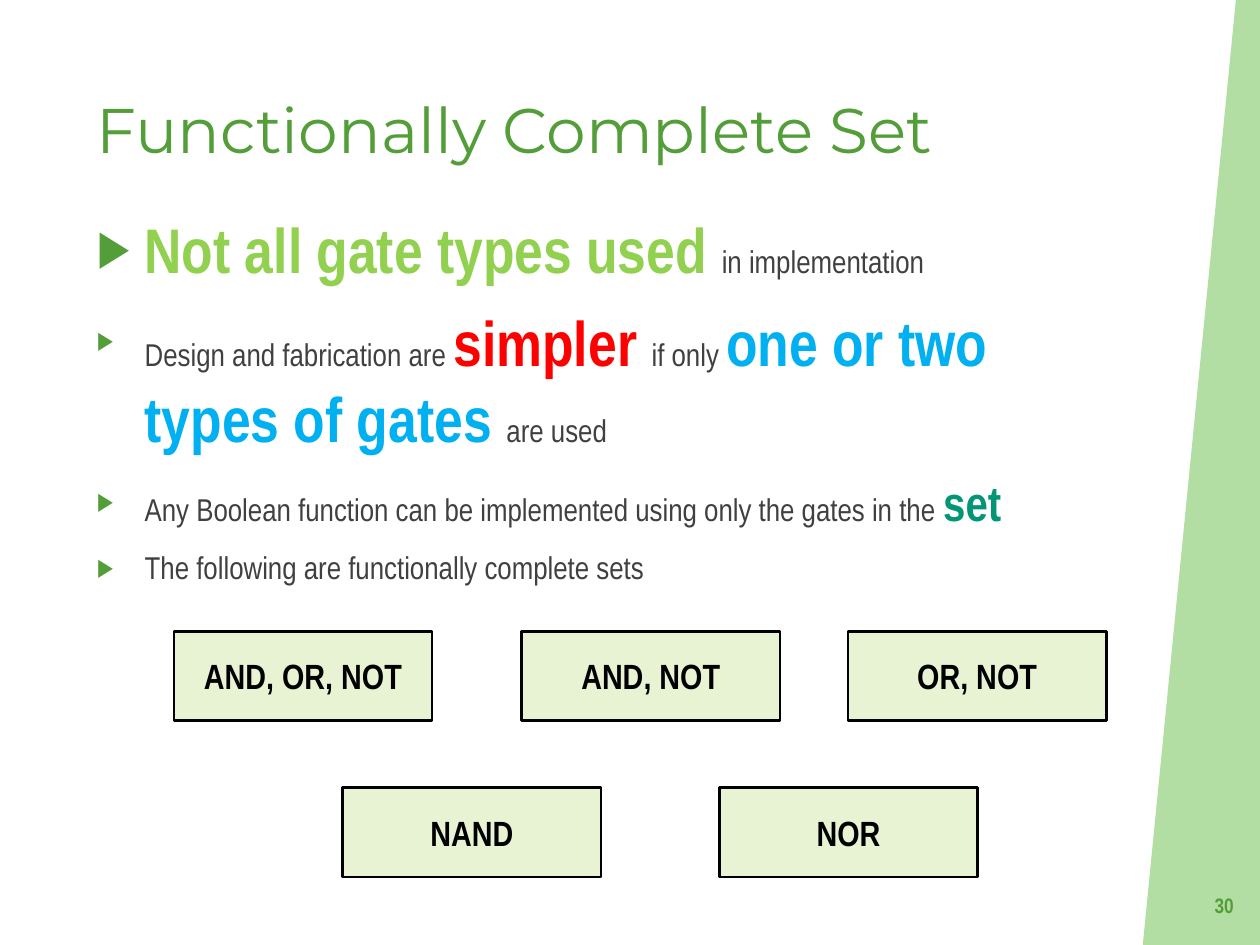
from lxml import etree
from pptx import Presentation
from pptx.dml.color import RGBColor
from pptx.enum.shapes import MSO_SHAPE
from pptx.enum.text import MSO_ANCHOR, PP_ALIGN
from pptx.oxml.ns import qn
from pptx.util import Inches, Pt

RECTANGLE = MSO_SHAPE.RECTANGLE
TOP, MIDDLE = MSO_ANCHOR.TOP, MSO_ANCHOR.MIDDLE
LEFT, CENTER, RIGHT = PP_ALIGN.LEFT, PP_ALIGN.CENTER, PP_ALIGN.RIGHT

GREEN = RGBColor(0x54, 0x9E, 0x39)
BAND_GREEN = RGBColor(0x93, 0xD0, 0x7D)
LIME = RGBColor(0x92, 0xD0, 0x50)
RED = RGBColor(0xFF, 0x00, 0x00)
BLUE = RGBColor(0x00, 0xB0, 0xF0)
TEAL = RGBColor(0x02, 0x96, 0x76)
GRAY = RGBColor(0x40, 0x40, 0x40)
BLACK = RGBColor(0x00, 0x00, 0x00)
PALE_GREEN = RGBColor(0xE8, 0xF3, 0xD4)

TITLE_FONT = "Montserrat"
BODY_FONT = "Arial Narrow"

PLAIN = (18, GRAY, False)
BULLETS = [
    [("Not all gate types used ", (36, LIME, True)), ("in implementation", PLAIN)],
    [
        ("Design and fabrication are ", PLAIN),
        ("simpler ", (36, RED, True)),
        ("if only ", PLAIN),
        ("one or two types of gates ", (36, BLUE, True)),
        ("are used", PLAIN),
    ],
    [
        ("Any Boolean function can be implemented using only the gates in the ", PLAIN),
        ("set", (28, TEAL, True)),
    ],
    [("The following are functionally complete sets", PLAIN)],
]
GATE_ROWS = [
    (5.01, [(1.38, "AND, OR, NOT"), (4.14, "AND, NOT"), (6.73, "OR, NOT")]),
    (6.25, [(2.72, "NAND"), (5.71, "NOR")]),
]


def add_run(paragraph, text, size, color, bold=False, font=BODY_FONT):
    run = paragraph.add_run()
    run.text = text
    run.font.name = font
    run.font.size = Pt(size)
    run.font.bold = bold
    run.font.color.rgb = color


def add_text_frame(slide, left, top, width, height, anchor=TOP):
    box = slide.shapes.add_textbox(
        Inches(left), Inches(top), Inches(width), Inches(height))
    frame = box.text_frame
    frame.word_wrap = True
    frame.vertical_anchor = anchor
    return frame


def add_side_band(slide, left, top, right, bottom):
    builder = slide.shapes.build_freeform(Inches(right - 0.2), Inches(top))
    builder.add_line_segments([
        (Inches(left), Inches(bottom)),
        (Inches(right), Inches(bottom)),
        (Inches(right), Inches(top)),
    ])
    band = builder.convert_to_shape()
    band.shadow.inherit = False
    band.fill.solid()
    band.fill.fore_color.rgb = BAND_GREEN
    band.line.fill.background()
    color = band.fill._xPr.find(qn("a:solidFill"))[0]
    etree.SubElement(color, qn("a:alpha"), val="70000")


def add_title(slide, left, top, width, height):
    frame = add_text_frame(slide, left, top, width, height)
    add_run(frame.paragraphs[0], "Functionally Complete Set", 36, GREEN, font=TITLE_FONT)


def set_bullet(paragraph):
    properties = paragraph._p.get_or_add_pPr()
    indent = Inches(0.38)
    properties.set("marL", str(indent))
    properties.set("indent", str(-indent))
    color = etree.SubElement(properties, qn("a:buClr"))
    etree.SubElement(color, qn("a:srgbClr"), val=str(GREEN))
    etree.SubElement(properties, qn("a:buSzPct"), val="80000")
    etree.SubElement(properties, qn("a:buFont"), typeface="Arial")
    etree.SubElement(properties, qn("a:buChar"), char="▶")


def add_bullets(slide, left, top, width, height):
    frame = add_text_frame(slide, left, top, width, height)
    for index, phrases in enumerate(BULLETS):
        paragraph = frame.add_paragraph() if index else frame.paragraphs[0]
        set_bullet(paragraph)
        if index:
            paragraph.space_before = Pt(10)
        for text, style in phrases:
            add_run(paragraph, text, *style)


def add_gate_set(slide, left, top, width, height, gates):
    card = slide.shapes.add_shape(
        RECTANGLE, Inches(left), Inches(top), Inches(width), Inches(height))
    card.shadow.inherit = False
    card.fill.solid()
    card.fill.fore_color.rgb = PALE_GREEN
    card.line.color.rgb = BLACK
    card.line.width = Pt(1.5)
    frame = card.text_frame
    frame.vertical_anchor = MIDDLE
    frame.paragraphs[0].alignment = CENTER
    add_run(frame.paragraphs[0], gates, 20, BLACK, True)


def add_slide_number(slide, left, top, width, height):
    frame = add_text_frame(slide, left, top, width, height, MIDDLE)
    frame.paragraphs[0].alignment = RIGHT
    add_run(frame.paragraphs[0], "30", 12, GREEN, True)


def main():
    deck = Presentation()
    deck.slide_width, deck.slide_height = Inches(10), Inches(7.5)
    slide = deck.slides.add_slide(deck.slide_layouts[6])
    add_side_band(slide, 9.07, -0.01, 10.01, 7.5)
    add_title(slide, 0.67, 0.67, 8.41, 0.8)
    add_bullets(slide, 0.67, 1.62, 8.41, 4.98)
    for top, gate_sets in GATE_ROWS:
        for left, gates in gate_sets:
            add_gate_set(slide, left, top, 2.05, 0.71, gates)
    add_slide_number(slide, 9.33, 6.98, 0.56, 0.4)
    deck.save("out.pptx")


if __name__ == "__main__":
    main()
